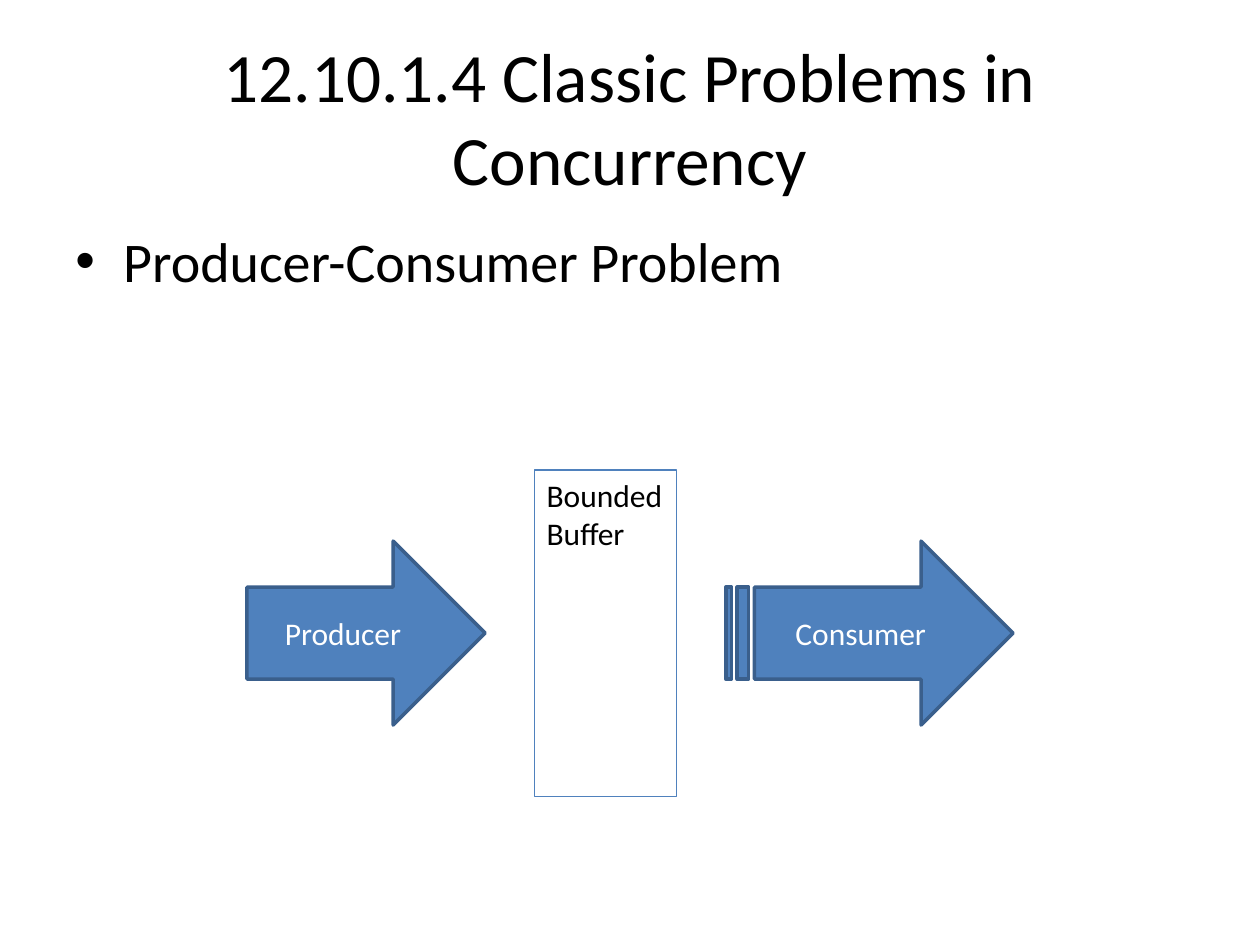
from lxml import etree
from pptx import Presentation
from pptx.dml.color import RGBColor
from pptx.enum.shapes import MSO_SHAPE as Shape
from pptx.enum.text import MSO_ANCHOR as Anchor, PP_ALIGN as Align
from pptx.oxml.ns import qn
from pptx.util import Inches, Pt

BLACK = RGBColor(0x00, 0x00, 0x00)
WHITE = RGBColor(0xFF, 0xFF, 0xFF)
BLUE = RGBColor(0x4F, 0x81, 0xBD)
DARK_BLUE = RGBColor(0x3A, 0x5F, 0x8C)


def write(sp, lines, size, color=BLACK, align=Align.LEFT, anchor=Anchor.TOP):
    tf = sp.text_frame
    tf.word_wrap = True
    tf.vertical_anchor = anchor
    for i, line in enumerate(lines):
        p = tf.paragraphs[0] if i == 0 else tf.add_paragraph()
        p.alignment = align
        r = p.add_run()
        r.text = line
        for name, value in {"name": "Calibri", "size": Pt(size)}.items():
            setattr(r.font, name, value)
        r.font.color.rgb = color


def add_title(s, left, top, width, height):
    sp = s.shapes.add_textbox(left, top, width, height)
    write(sp, ["12.10.1.4 Classic Problems in Concurrency"], 39.6,
          align=Align.CENTER, anchor=Anchor.MIDDLE)


def add_body(s, left, top, width, height):
    sp = s.shapes.add_textbox(left, top, width, height)
    write(sp, ["Producer-Consumer Problem"], 32)
    for p in sp.text_frame.paragraphs:
        pPr = p._p.get_or_add_pPr()
        pPr.set("marL", str(Inches(0.38)))
        pPr.set("indent", str(Inches(-0.38)))
        etree.SubElement(pPr, qn("a:buFont")).set("typeface", "Arial")
        etree.SubElement(pPr, qn("a:buChar")).set("char", "•")


def add_outlined(s, kind, box, line_color, line_width):
    sp = s.shapes.add_shape(kind, *box)
    sp.shadow.inherit = False
    sp.line.color.rgb = line_color
    sp.line.width = Pt(line_width)
    return sp


def add_flow(s, left, top, width, height):
    """Producer arrow, bounded buffer and consumer arrow on one centre line."""
    buffer_box = (left + Inches(2.28), top, Inches(1.13), height)
    buffer = add_outlined(s, Shape.RECTANGLE, buffer_box, BLUE, 0.75)
    buffer.fill.background()
    write(buffer, ["Bounded", "Buffer"], 18)

    arrow_h = Inches(1.46)
    arrow_top = top + (height - arrow_h) // 2
    consumer_w = Inches(2.28)
    arrows = [
        ("Producer", Shape.RIGHT_ARROW, left, Inches(1.89)),
        ("Consumer", Shape.STRIPED_RIGHT_ARROW,
         left + width - consumer_w, consumer_w),
    ]
    for label, kind, x, w in arrows:
        arrow = add_outlined(s, kind, (x, arrow_top, w, arrow_h), DARK_BLUE, 2)
        arrow.fill.solid()
        arrow.fill.fore_color.rgb = BLUE
        write(arrow, [label], 18, WHITE, Align.CENTER, Anchor.MIDDLE)


def main():
    prs = Presentation()
    prs.slide_width, prs.slide_height = Inches(10), Inches(7.5)
    s = prs.slides.add_slide(prs.slide_layouts[6])
    add_title(s, Inches(0.5), Inches(0.3), Inches(9), Inches(1.25))
    add_body(s, Inches(0.5), Inches(1.75), Inches(9), Inches(0.98))
    add_flow(s, Inches(1.96), Inches(3.73), Inches(6.08), Inches(2.59))
    prs.save("out.pptx")


if __name__ == "__main__":
    main()
